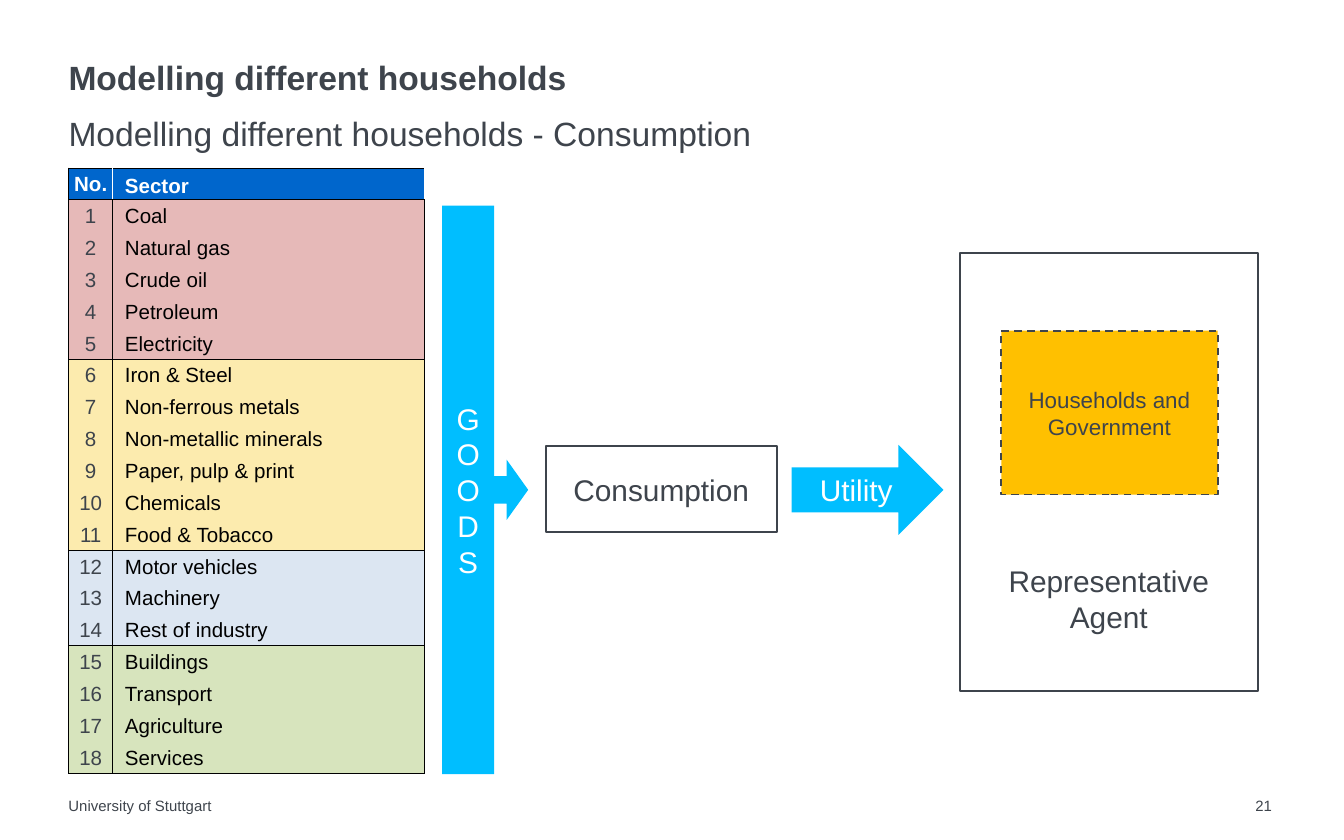
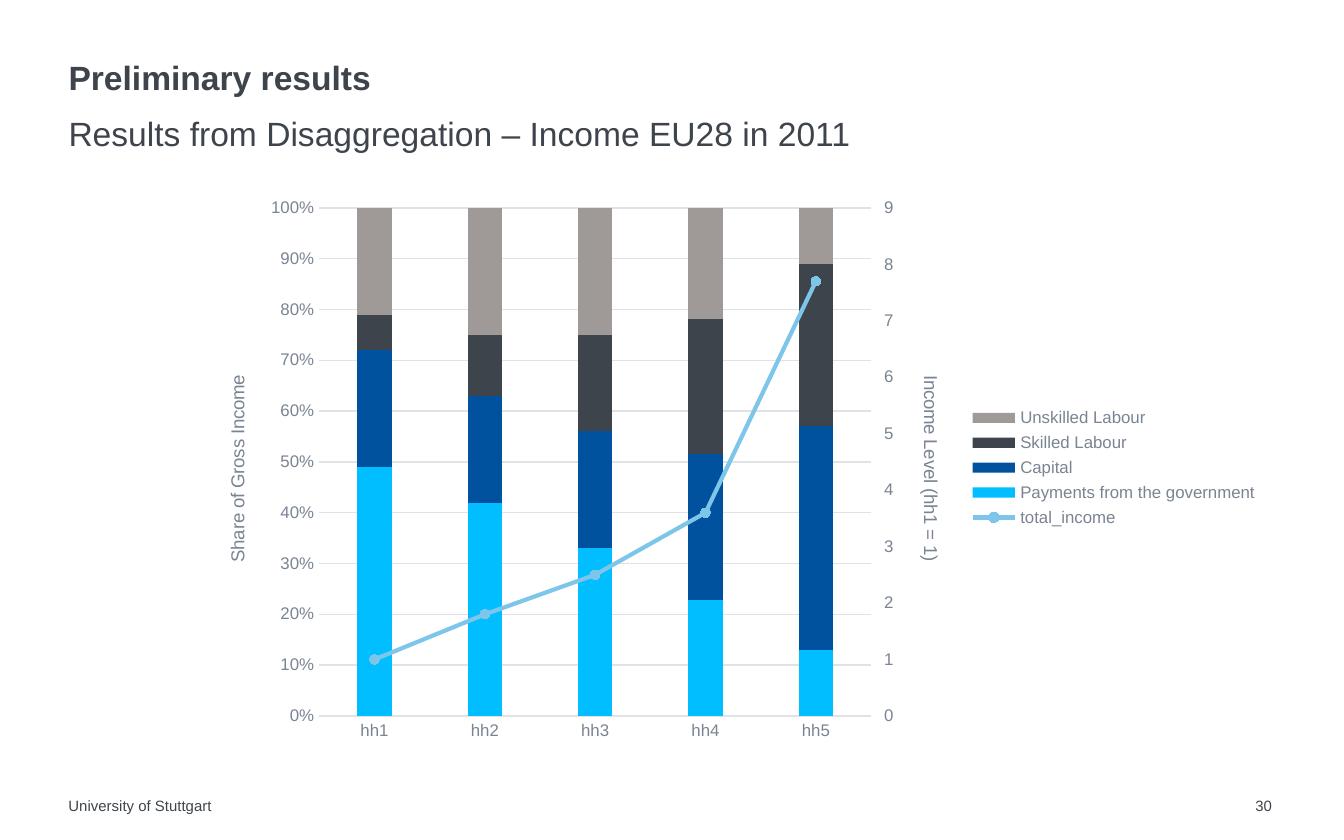
from copy import deepcopy

from lxml import etree
from pptx import Presentation
from pptx.chart.axis import ValueAxis
from pptx.chart.data import CategoryChartData
from pptx.dml.color import RGBColor
from pptx.enum.chart import XL_CHART_TYPE, XL_LEGEND_POSITION, XL_MARKER_STYLE, XL_TICK_MARK
from pptx.enum.dml import MSO_LINE
from pptx.enum.shapes import MSO_SHAPE
from pptx.enum.text import MSO_ANCHOR, PP_ALIGN
from pptx.oxml import parse_xml
from pptx.oxml.ns import nsdecls, qn
from pptx.util import Inches, Pt

FONT = "Arial"
INK = RGBColor(0x3E, 0x44, 0x4C)
WHITE = RGBColor(0xFF, 0xFF, 0xFF)
BLACK = RGBColor(0, 0, 0)
CYAN = RGBColor(0, 0xBE, 0xFF)
BLUE = RGBColor(0, 0x51, 0x9E)
HEADER_BLUE = RGBColor(0, 0x66, 0xCC)
GOLD = RGBColor(0xFF, 0xC0, 0)
WARM_GREY = RGBColor(0x9F, 0x99, 0x98)
SKY = RGBColor(0x7D, 0xC6, 0xEA)
AXIS_TEXT = RGBColor(0x7A, 0x84, 0x92)
GRID = RGBColor(0xE0, 0xE3, 0xE6)

CENTER, LEFT = PP_ALIGN.CENTER, PP_ALIGN.LEFT
TOP, MIDDLE, BOTTOM = MSO_ANCHOR.TOP, MSO_ANCHOR.MIDDLE, MSO_ANCHOR.BOTTOM
RECT = MSO_SHAPE.RECTANGLE
DASH = MSO_LINE.DASH

MARGIN = 0.51
FOOTER = "University of Stuttgart"

SECTOR_GROUPS = [
    (RGBColor(0xE6, 0xB9, 0xB8),
     ["Coal", "Natural gas", "Crude oil", "Petroleum", "Electricity"]),
    (RGBColor(0xFC, 0xEB, 0xAE),
     ["Iron & Steel", "Non-ferrous metals", "Non-metallic minerals",
      "Paper, pulp & print", "Chemicals", "Food & Tobacco"]),
    (RGBColor(0xDC, 0xE6, 0xF2), ["Motor vehicles", "Machinery", "Rest of industry"]),
    (RGBColor(0xD7, 0xE4, 0xBD), ["Buildings", "Transport", "Agriculture", "Services"]),
]
TABLE_AT = (MARGIN, 1.25, 2.65, 4.51)
COLUMN_WIDTHS = (0.33, 2.32)

HOUSEHOLDS = ["hh1", "hh2", "hh3", "hh4", "hh5"]
INCOME_SHARES = [
    ("Payments from the government", (49, 42, 33, 23, 13), CYAN),
    ("Capital", (23, 21, 23, 29, 44), BLUE),
    ("Skilled Labour", (7, 12, 19, 27, 32), INK),
    ("Unskilled Labour", (21, 25, 25, 22, 11), WARM_GREY),
]
TOTAL_INCOME = ("total_income", (1, 1.8, 2.5, 3.6, 7.7))


def place(left, top, width, height):
    return Inches(left), Inches(top), Inches(width), Inches(height)


def set_font(font, size, color, bold=False):
    font.name, font.size, font.bold = FONT, Pt(size), bold
    font.color.rgb = color


def write(frame, text, size, color, align=LEFT, anchor=TOP, bold=False, spacing=None):
    frame.word_wrap = True
    frame.vertical_anchor = anchor
    para = frame.paragraphs[0]
    para.text = text
    para.alignment = align
    para.line_spacing = spacing
    set_font(para.font, size, color, bold)


def clear_insets(frame):
    frame.margin_left = frame.margin_top = frame.margin_right = frame.margin_bottom = 0


def add_label(page, at, text, size, spacing=None):
    frame = page.shapes.add_textbox(*place(*at)).text_frame
    clear_insets(frame)
    write(frame, text, size, INK, spacing=spacing)


def add_page(deck, title, subtitle, number):
    page = deck.slides.add_slide(deck.slide_layouts[5])
    heading = page.shapes.title
    heading.left, heading.top, heading.width, heading.height = place(MARGIN, 0.43, 8.98, 0.3)
    clear_insets(heading.text_frame)
    write(heading.text_frame, title, 18, INK, anchor=BOTTOM, bold=True, spacing=0.9)
    add_label(page, (MARGIN, 0.78, 8.98, 0.3), subtitle, 18, spacing=1.2)
    add_label(page, (MARGIN, 5.93, 6.63, 0.14), FOOTER, 8)
    add_label(page, (9.34, 5.93, 0.24, 0.14), str(number), 8)
    return page


def add_box(page, kind, at, text, size, fill, color=INK, outlined=True, anchor=MIDDLE):
    box = page.shapes.add_shape(kind, *place(*at))
    box.shadow.inherit = False
    box.fill.solid()
    box.fill.fore_color.rgb = fill
    if outlined:
        box.line.color.rgb = INK
        box.line.width = Pt(1)
    else:
        box.line.fill.background()
    write(box.text_frame, text, size, color, CENTER, anchor)
    return box


def set_borders(cell, left, right, top, bottom):
    """Draw half-point cell edges; None hides an edge."""
    for index, (side, color) in enumerate(zip("LRTB", (left, right, top, bottom))):
        paint = ("<a:noFill/>" if color is None
                 else f'<a:solidFill><a:srgbClr val="{color}"/></a:solidFill>')
        edge = parse_xml(f'<a:ln{side} {nsdecls("a")} w="6350">{paint}</a:ln{side}>')
        cell._tc.get_or_add_tcPr().insert(index, edge)


def fill_cell(cell, text, fill, color, align, indent, borders, bold=False, spacing=None):
    cell.margin_left, cell.margin_right = Inches(indent), Inches(0.01)
    cell.margin_top, cell.margin_bottom = Inches(0.01), 0
    cell.vertical_anchor = MIDDLE
    para = cell.text_frame.paragraphs[0]
    para.text, para.alignment, para.line_spacing = text, align, spacing
    set_font(para.font, 11, color, bold)
    cell.fill.solid()
    cell.fill.fore_color.rgb = fill
    set_borders(cell, *borders)


def add_sector_table(page):
    row_count = 1 + sum(len(sectors) for _, sectors in SECTOR_GROUPS)
    table = page.shapes.add_table(row_count, 2, *place(*TABLE_AT)).table
    table.horz_banding = table.first_row = False
    for column, width in zip(table.columns, COLUMN_WIDTHS):
        column.width = Inches(width)
    for row in table.rows:
        row.height = Inches(TABLE_AT[3] / row_count)

    fill_cell(table.cell(0, 0), "No.", HEADER_BLUE, WHITE, CENTER, 0.01,
              (BLACK, WHITE, BLACK, BLACK), bold=True)
    fill_cell(table.cell(0, 1), "Sector", HEADER_BLUE, WHITE, LEFT, 0.09,
              (WHITE, WHITE, BLACK, BLACK), bold=True, spacing=1.15)
    number = 0
    for fill, sectors in SECTOR_GROUPS:
        for sector in sectors:
            number += 1
            borders = (BLACK, BLACK,
                       BLACK if sector == sectors[0] else None,
                       BLACK if sector == sectors[-1] else None)
            fill_cell(table.cell(number, 0), str(number), fill, INK, CENTER, 0.01, borders)
            fill_cell(table.cell(number, 1), sector, fill, BLACK, LEFT, 0.09, borders)


def build_consumption(deck):
    page = add_page(deck, "Modelling different households",
                    "Modelling different households - Consumption", 21)
    agent = add_box(page, RECT, (7.14, 1.88, 2.22, 3.26), "Representative Agent", 16,
                    WHITE, anchor=BOTTOM)
    agent.text_frame.margin_bottom = Inches(0.42)
    members = add_box(page, RECT, (7.45, 2.46, 1.61, 1.22), "Households and Government",
                      12, GOLD)
    members.line.dash_style = DASH
    add_sector_table(page)
    goods = add_box(page, MSO_SHAPE.RIGHT_ARROW_CALLOUT, (3.29, 1.53, 0.64, 4.23), "GOODS",
                    16, CYAN, WHITE, outlined=False)
    for index, value in enumerate((0.319, 0.35, 0.25, 0.605)):
        goods.adjustments[index] = value
    add_box(page, RECT, (4.06, 3.32, 1.72, 0.64), "Consumption", 16, WHITE)
    add_box(page, MSO_SHAPE.RIGHT_ARROW, (5.89, 3.31, 1.13, 0.67), "Utility", 16, CYAN,
            WHITE, outlined=False)


def set_layout(element, **fractions):
    """Fix the place of a chart part, in fractions of the chart area."""
    old = element.find(qn("c:layout"))
    if old is not None:
        element.remove(old)
    target = '<c:layoutTarget val="inner"/>' if "w" in fractions else ""
    modes = "".join(f'<c:{key}Mode val="edge"/>' for key in "xy")
    values = "".join(f'<c:{key} val="{value}"/>' for key, value in fractions.items())
    layout = parse_xml(f'<c:layout {nsdecls("c")}><c:manualLayout>{target}{modes}{values}'
                       "</c:manualLayout></c:layout>")
    text = element.find(qn("c:tx"))
    element.insert(0 if text is None else 1, layout)


def title_axis(axis, text, angle, x):
    axis.has_title = True
    title = axis.axis_title
    title.text_frame.text = text
    set_font(title.text_frame.paragraphs[0].font, 10, AXIS_TEXT)
    body = next(title._element.iter(qn("a:bodyPr")))
    body.set("rot", str(angle * 60000))
    body.set("vert", "horz")
    set_layout(title._element, x=x, y=0.33)


def style_axis(axis, tick=XL_TICK_MARK.NONE):
    axis.major_tick_mark = tick
    axis.minor_tick_mark = XL_TICK_MARK.NONE
    set_font(axis.tick_labels.font, 9, AXIS_TEXT)


def set_scale(axis, maximum, step, number_format):
    axis.minimum_scale, axis.maximum_scale, axis.major_unit = 0, maximum, step
    axis.tick_labels.number_format = number_format
    axis.tick_labels.number_format_is_linked = False
    axis.format.line.fill.background()


def move_last_series_to_line(chart):
    """Turn the last bar series into a line on a second axis, and return that axis."""
    bars = chart.plots[0]._element
    series = bars.findall(qn("c:ser"))[-1]
    for bar_only in series.findall(qn("c:invertIfNegative")):
        series.remove(bar_only)
    lines = parse_xml(f'<c:lineChart {nsdecls("c")}><c:grouping val="standard"/>'
                      '<c:varyColors val="0"/><c:marker val="1"/>'
                      '<c:axId val="5001"/><c:axId val="5002"/></c:lineChart>')
    lines.insert(2, series)
    bars.addnext(lines)

    categories, values = chart.category_axis._element, chart.value_axis._element
    second_categories, second_values = deepcopy(categories), deepcopy(values)
    values.addnext(second_values)
    second_values.addnext(second_categories)
    for axis, own, other in ((second_categories, "5001", "5002"),
                             (second_values, "5002", "5001")):
        axis.find(qn("c:axId")).set("val", own)
        axis.find(qn("c:crossAx")).set("val", other)
    hidden = second_categories.find(qn("c:delete"))
    if hidden is None:
        hidden = etree.Element(qn("c:delete"))
        second_categories.find(qn("c:scaling")).addnext(hidden)
    hidden.set("val", "1")
    second_values.find(qn("c:axPos")).set("val", "r")
    second_values.find(qn("c:crosses")).set("val", "max")
    return ValueAxis(second_values)


def build_income(deck):
    page = add_page(deck, "Preliminary results",
                    "Results from Disaggregation – Income EU28 in 2011", 30)
    data = CategoryChartData()
    data.categories = HOUSEHOLDS
    for name, values, _ in INCOME_SHARES:
        data.add_series(name, values)
    data.add_series(*TOTAL_INCOME)
    chart = page.shapes.add_chart(XL_CHART_TYPE.COLUMN_STACKED_100,
                                  *place(1.41, 1.38, 8.05, 4.2), data).chart
    set_font(chart.font, 10, INK)
    chart.has_title = False
    category_axis, left_axis = chart.category_axis, chart.value_axis
    right_axis = move_last_series_to_line(chart)

    bars, lines = chart.plots
    bars.gap_width, bars.overlap = 219, 100
    bars.vary_by_categories = False
    for series, (_, _, color) in zip(bars.series, INCOME_SHARES):
        series.format.fill.solid()
        series.format.fill.fore_color.rgb = color
    total = lines.series[0]
    total.smooth = False
    total.format.line.color.rgb = SKY
    total.format.line.width = Pt(2.25)
    total.marker.style, total.marker.size = XL_MARKER_STYLE.CIRCLE, 5
    total.marker.format.fill.solid()
    total.marker.format.fill.fore_color.rgb = SKY
    total.marker.format.line.color.rgb = SKY

    style_axis(category_axis)
    style_axis(left_axis)
    style_axis(right_axis, XL_TICK_MARK.OUTSIDE)
    left_axis.has_major_gridlines, right_axis.has_major_gridlines = True, False
    for line in (category_axis.format.line, left_axis.major_gridlines.format.line):
        line.color.rgb = GRID
        line.width = Pt(0.75)
    set_scale(left_axis, 1, 0.1, "0%")
    set_scale(right_axis, 9, 1, "General")
    title_axis(left_axis, "Share of Gross Income", -90, 0.03)
    title_axis(right_axis, "Income Level (hh1 = 1)", 90, 0.67)

    chart.has_legend = True
    chart.legend.position = XL_LEGEND_POSITION.RIGHT
    chart.legend.include_in_layout = False
    set_font(chart.legend.font, 9, AXIS_TEXT)
    set_layout(bars._element.getparent(), x=0.12, y=0.04, w=0.51, h=0.9)


def main():
    deck = Presentation()
    deck.slide_width, deck.slide_height = Inches(10), Inches(6.25)
    build_consumption(deck)
    build_income(deck)
    deck.save("out.pptx")


if __name__ == "__main__":
    main()
